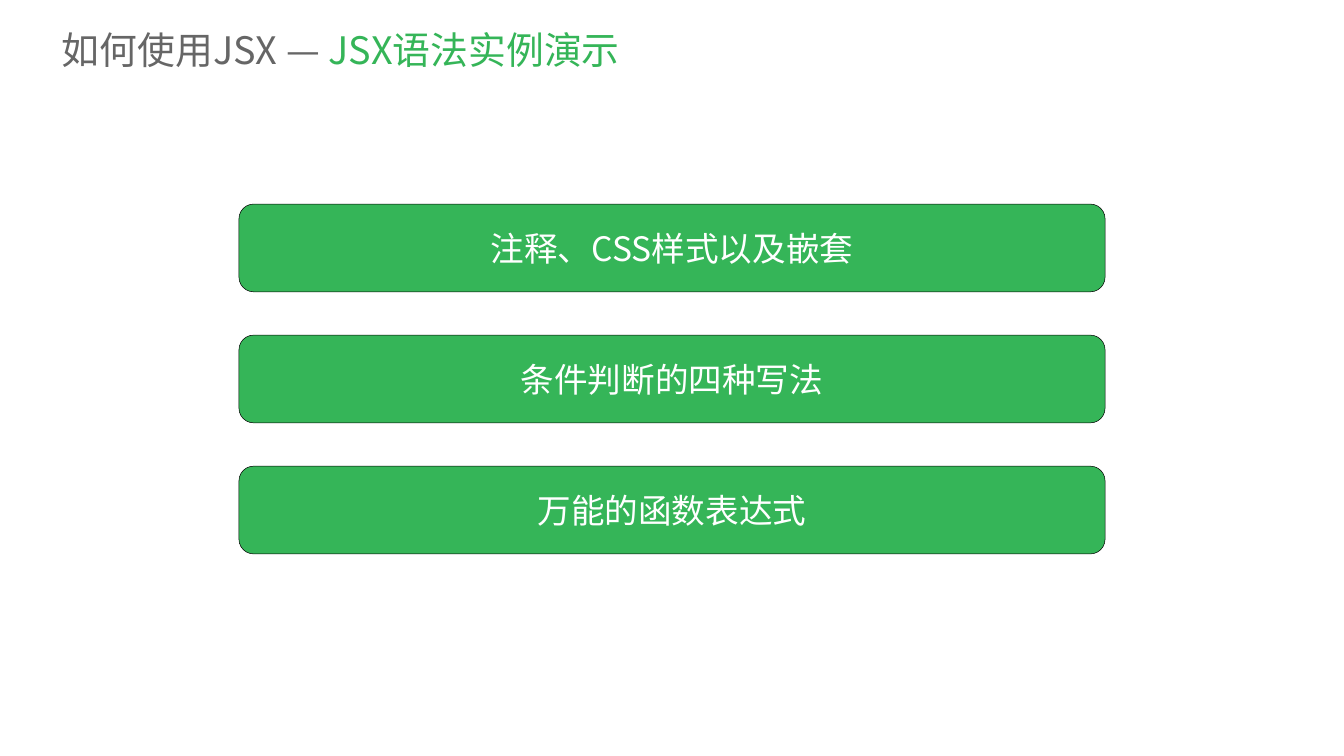
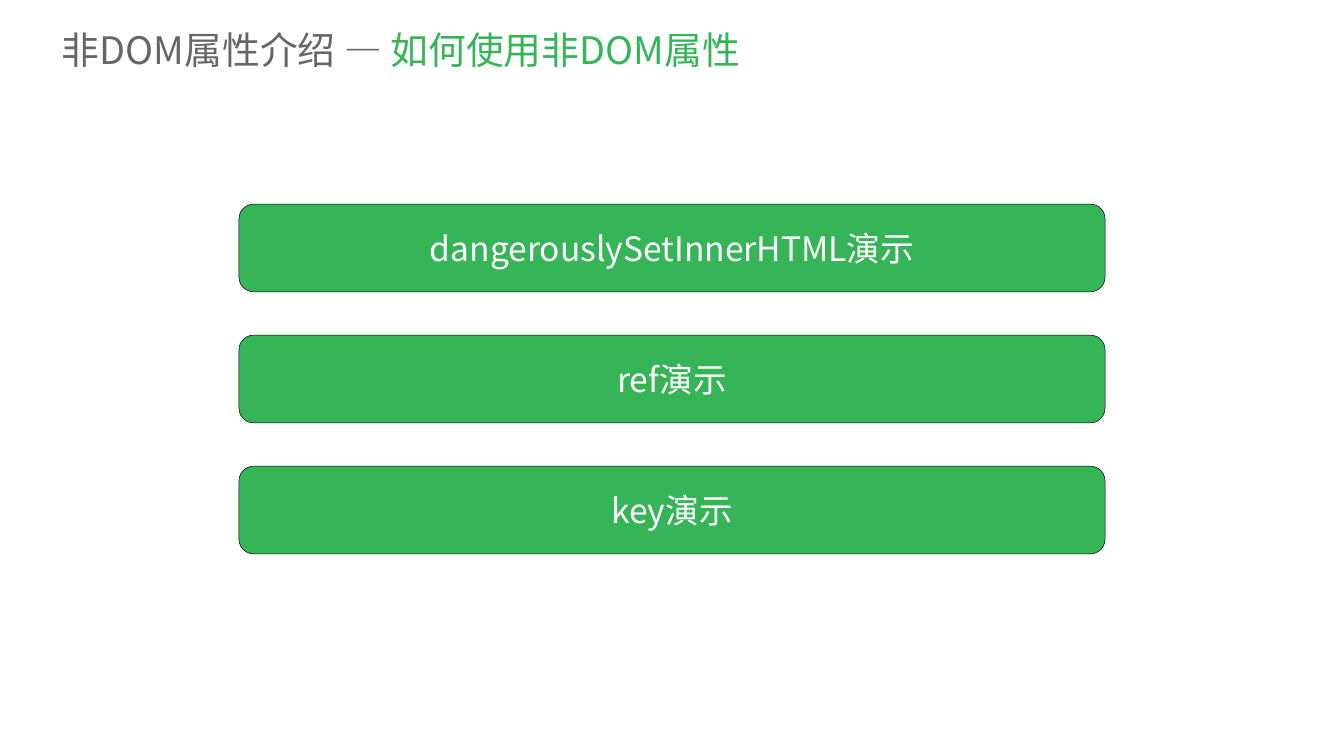
"""Build two JSX lesson slides, each with a two-tone title and three topic bars."""
from lxml import etree
from pptx import Presentation
from pptx.dml.color import RGBColor
from pptx.enum.shapes import MSO_SHAPE
from pptx.enum.text import MSO_ANCHOR, PP_ALIGN
from pptx.oxml.ns import qn
from pptx.util import Inches, Pt

BAR_SHAPE = MSO_SHAPE.FLOWCHART_ALTERNATE_PROCESS
MIDDLE = MSO_ANCHOR.MIDDLE
LEFT, CENTER = PP_ALIGN.LEFT, PP_ALIGN.CENTER

COLORS = {"green": "35B558", "grey": "666666", "white": "FFFFFF", "black": "000000"}
FONT = "Noto Sans CJK SC"
FRAME_FORMAT = {
    "vertical_anchor": MIDDLE,
    "margin_left": Inches(0.1),
    "margin_right": Inches(0.1),
    "margin_top": Inches(0.05),
    "margin_bottom": Inches(0.05),
}
BAR_LEFT, BAR_TOP, BAR_WIDTH, BAR_HEIGHT, BAR_STEP = 4.74, 4.05, 17.18, 1.74, 2.6

LESSONS = [
    ("如何使用JSX — ", "JSX语法实例演示",
     ["注释、CSS样式以及嵌套", "条件判断的四种写法", "万能的函数表达式"]),
    ("非DOM属性介绍 — ", "如何使用非DOM属性",
     ["dangerouslySetInnerHTML演示", "ref演示", "key演示"]),
]


def rgb(name):
    return RGBColor.from_string(COLORS[name])


def write(frame, pieces, size, align, wrap):
    for attribute, value in FRAME_FORMAT.items():
        setattr(frame, attribute, value)
    frame.word_wrap = wrap
    paragraph = frame.paragraphs[0]
    paragraph.alignment = align
    for text, color in pieces:
        run = paragraph.add_run()
        run.text = text
        run.font.size = Pt(size)
        run.font.color.rgb = rgb(color)
        run.font.name = FONT
        etree.SubElement(run.font._element, qn("a:ea"), typeface=FONT)


deck = Presentation()
deck.slide_width = Inches(26.66)
deck.slide_height = Inches(15)
blank = deck.slide_layouts[6]

for chapter, section, topics in LESSONS:
    slide = deck.slides.add_slide(blank)
    slide.background.fill.solid()
    slide.background.fill.fore_color.rgb = rgb("white")

    title = slide.shapes.add_textbox(Inches(1.13), Inches(0.43), Inches(25.15), Inches(1.1))
    write(title.text_frame, [(chapter, "grey"), (section, "green")], 54, LEFT, True)

    for row, topic in enumerate(topics):
        bar = slide.shapes.add_shape(
            BAR_SHAPE, Inches(BAR_LEFT), Inches(BAR_TOP + row * BAR_STEP),
            Inches(BAR_WIDTH), Inches(BAR_HEIGHT))
        bar.shadow.inherit = False
        bar.fill.solid()
        bar.fill.fore_color.rgb = rgb("green")
        bar.line.color.rgb = rgb("black")
        bar.line.width = Pt(0.75)
        write(bar.text_frame, [(topic, "white")], 48, CENTER, False)

deck.save("out.pptx")
